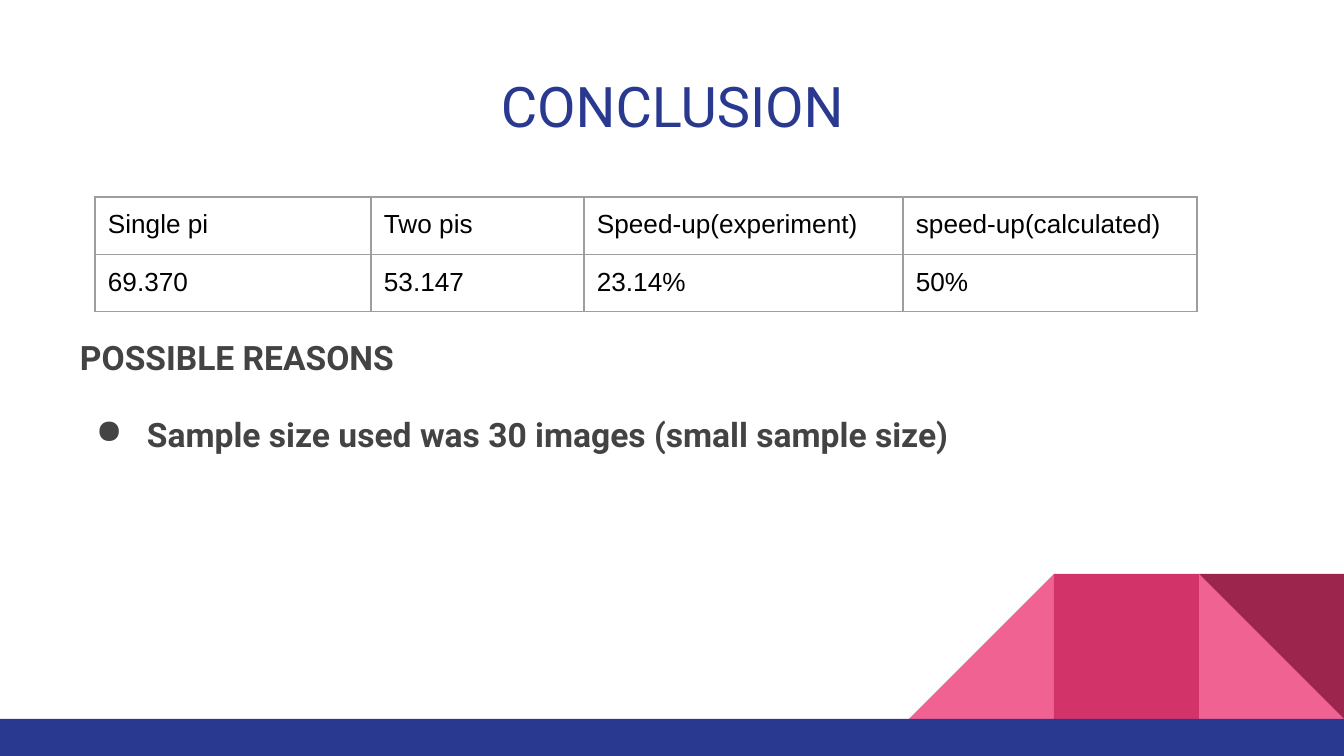
"""Build the conclusion slide with its results table and corner artwork."""
from dataclasses import dataclass

from lxml import etree
from pptx import Presentation
from pptx import util as u
from pptx.dml import color
from pptx.enum import shapes, text
from pptx.oxml import ns

EMU_PER_PX = 914400 / 134.4
INSET = 13
TILE = 145
TILES_LEFT, TILES_TOP = 909, 574


@dataclass(frozen=True)
class Theme:
    navy: str = "2A3990"
    pink: str = "F06292"
    rose: str = "D23369"
    wine: str = "9C254D"
    ink: str = "434343"
    black: str = "000000"
    rule: str = "9E9E9E"
    heading_font: str = "Roboto"
    table_font: str = "Arial"
    title_size: int = 30
    body_size: int = 18
    table_size: int = 14
    rule_width: float = 0.75


@dataclass(frozen=True)
class Area:
    left: int
    top: int
    width: int
    height: int


@dataclass(frozen=True)
class Block:
    area: Area
    kind: shapes.MSO_SHAPE
    fill: str
    rotation: int = 0
    mirrored: bool = False


@dataclass(frozen=True)
class Style:
    font: str
    size: int
    color: str
    bold: bool = False


THEME = Theme()
TITLE_STYLE = Style(THEME.heading_font, THEME.title_size, THEME.navy)
BODY_STYLE = Style(THEME.heading_font, THEME.body_size, THEME.ink, bold=True)
TABLE_STYLE = Style(THEME.table_font, THEME.table_size, THEME.black)

TRIANGLE, RECTANGLE = shapes.MSO_SHAPE.RIGHT_TRIANGLE, shapes.MSO_SHAPE.RECTANGLE


def tile_area(column: int) -> Area:
    return Area(TILES_LEFT + column * TILE, TILES_TOP, TILE, TILE)


BLOCKS = (
    Block(tile_area(2), TRIANGLE, THEME.pink),
    Block(tile_area(0), TRIANGLE, THEME.pink, mirrored=True),
    Block(tile_area(1), RECTANGLE, THEME.rose),
    Block(tile_area(2), TRIANGLE, THEME.wine, rotation=180),
    Block(Area(0, TILES_TOP + TILE, 1344, 37), RECTANGLE, THEME.navy),
)
COLUMN_WIDTHS = (276, 213, 319, 294)
ROW_HEIGHT = 56
RESULTS = (
    ("Single pi", "Two pis", "Speed-up(experiment)", "speed-up(calculated)"),
    ("69.370", "53.147", "23.14%", "50%"),
)


def px(length: int) -> u.Emu:
    return u.Emu(round(length * EMU_PER_PX))


def place(area: Area) -> tuple[u.Emu, ...]:
    return tuple(px(n) for n in (area.left, area.top, area.width, area.height))


def set_insets(holder, top: int = INSET) -> None:
    holder.margin_left = holder.margin_right = holder.margin_bottom = px(INSET)
    holder.margin_top = px(top)


def format_spans(para, style: Style) -> None:
    for span in para.runs:
        span.font.name = style.font
        span.font.size = u.Pt(style.size)
        span.font.bold = style.bold
        span.font.color.rgb = color.RGBColor.from_string(style.color)


def draw_block(page, block: Block) -> None:
    shape = page.shapes.add_shape(block.kind, *place(block.area))
    shape.shadow.inherit = False
    shape.fill.solid()
    shape.fill.fore_color.rgb = color.RGBColor.from_string(block.fill)
    shape.line.fill.background()
    shape.rotation = block.rotation
    if block.mirrored:
        shape.element.spPr.find(ns.qn("a:xfrm")).set("flipH", "1")


def draw_text(page, area: Area, words: str, style: Style, top: int = INSET):
    box = page.shapes.add_textbox(*place(area))
    frame = box.text_frame
    frame.word_wrap = True
    set_insets(frame, top)
    frame.text = words
    for para in frame.paragraphs:
        format_spans(para, style)
    return frame


def add_bullet(para, symbol: str, indent: int, hanging: int, tint: str) -> None:
    properties = para._p.get_or_add_pPr()
    properties.set("marL", str(px(indent)))
    properties.set("indent", str(-px(hanging)))
    bullet_color = etree.SubElement(properties, ns.qn("a:buClr"))
    etree.SubElement(bullet_color, ns.qn("a:srgbClr"), val=tint)
    etree.SubElement(properties, ns.qn("a:buChar"), char=symbol)


def add_borders(cell, tint: str, width: float) -> None:
    properties = cell._tc.get_or_add_tcPr()
    for side in ("a:lnL", "a:lnR", "a:lnT", "a:lnB"):
        line = etree.SubElement(properties, ns.qn(side), w=str(u.Pt(width)))
        fill = etree.SubElement(line, ns.qn("a:solidFill"))
        etree.SubElement(fill, ns.qn("a:srgbClr"), val=tint)


def draw_results(page, left: int, top: int) -> None:
    area = Area(left, top, sum(COLUMN_WIDTHS), ROW_HEIGHT * len(RESULTS))
    table = page.shapes.add_table(len(RESULTS), len(COLUMN_WIDTHS), *place(area)).table
    for column, width in zip(table.columns, COLUMN_WIDTHS):
        column.width = px(width)
    for row, values in zip(table.rows, RESULTS):
        row.height = px(ROW_HEIGHT)
        for cell, value in zip(row.cells, values):
            cell.text_frame.text = value
            format_spans(cell.text_frame.paragraphs[0], TABLE_STYLE)
            set_insets(cell)
            add_borders(cell, THEME.rule, THEME.rule_width)
            cell.fill.background()


def main() -> None:
    deck = Presentation()
    deck.slide_width, deck.slide_height = px(1344), px(756)
    page = deck.slides.add_slide(deck.slide_layouts[6])
    for block in BLOCKS:
        draw_block(page, block)

    title = draw_text(page, Area(156, 59, 1033, 89), "CONCLUSION", TITLE_STYLE)
    title.paragraphs[0].alignment = text.PP_ALIGN.CENTER

    reasons = draw_text(
        page,
        Area(67, 195, 1226, 433),
        "POSSIBLE REASONS\nSample size used was 30 images (small sample size)",
        BODY_STYLE,
        top=163,
    )
    for para in reasons.paragraphs:
        para.line_spacing = 1.15
        para.space_after = u.Pt(16)
    add_bullet(reasons.paragraphs[1], "●", 67, 51, THEME.ink)

    draw_results(page, 95, 197)
    deck.save("out.pptx")


if __name__ == "__main__":
    main()
